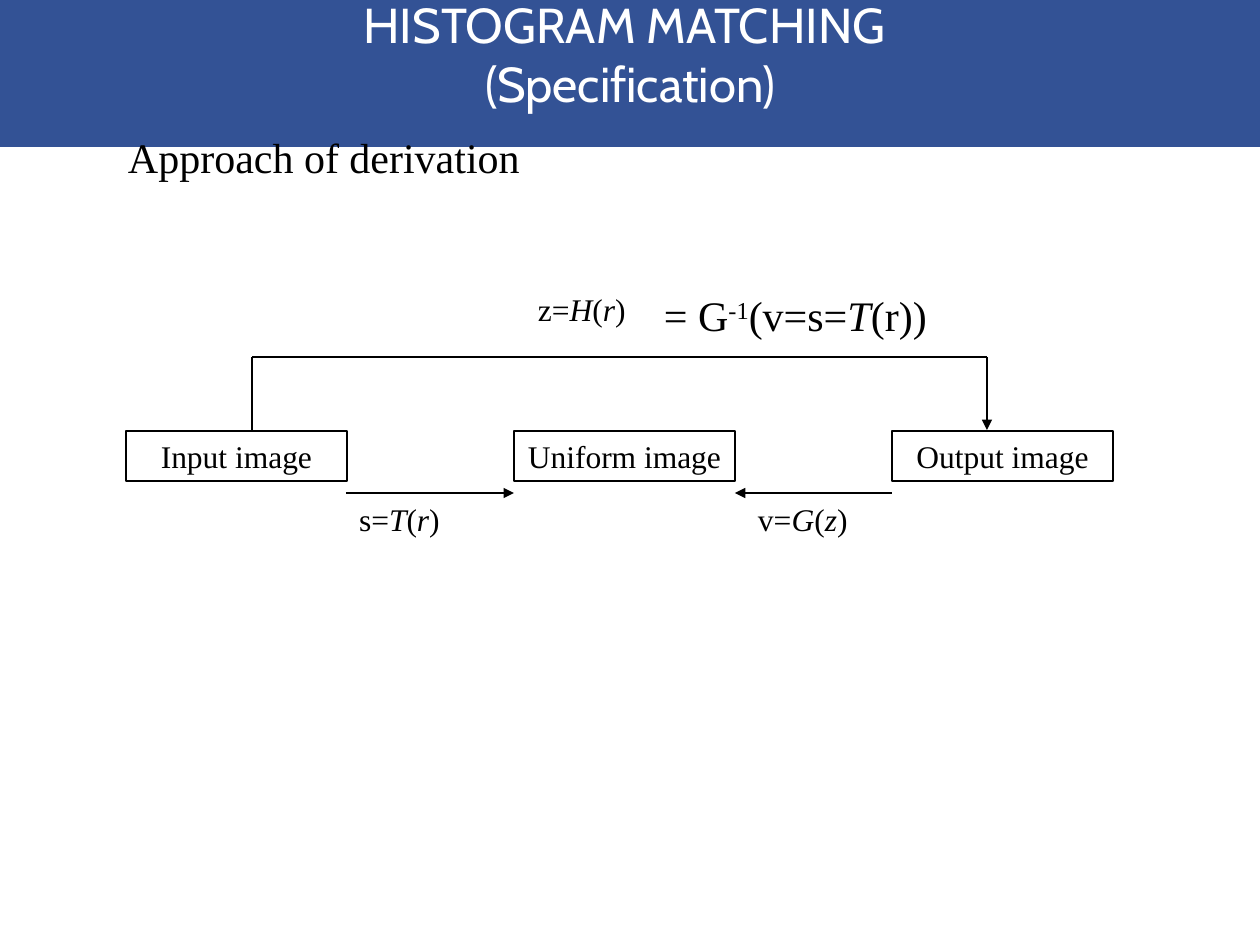
"""Build the histogram matching slide."""
from lxml import etree
from pptx import Presentation
from pptx.dml.color import RGBColor
from pptx.enum.shapes import MSO_CONNECTOR, MSO_SHAPE
from pptx.enum.text import MSO_ANCHOR, PP_ALIGN
from pptx.oxml.ns import qn
from pptx.util import Emu, Pt

BLACK = RGBColor(0, 0, 0)
WHITE = RGBColor(255, 255, 255)
BLUE = RGBColor(0x33, 0x52, 0x95)
RECT = MSO_SHAPE.RECTANGLE
STRAIGHT = MSO_CONNECTOR.STRAIGHT
LEFT, CENTER = PP_ALIGN.LEFT, PP_ALIGN.CENTER
TOP, MIDDLE = MSO_ANCHOR.TOP, MSO_ANCHOR.MIDDLE
SERIF, SANS = "Times New Roman", "Cabin"


def px(num):
    return Emu(round(num * 914400 / 126))


class Deck:
    def __init__(self):
        self.prs = Presentation()
        self.prs.slide_width, self.prs.slide_height = px(1260), px(945)
        self.slide = self.prs.slides.add_slide(self.prs.slide_layouts[6])
        self.shapes = self.slide.shapes

    def label(self, shape, runs, size=18, font=SERIF, color=BLACK,
              align=LEFT, anchor=TOP, foot=6):
        frame = shape.text_frame
        frame.word_wrap = True
        frame.vertical_anchor = anchor
        frame.margin_left = frame.margin_right = px(13)
        frame.margin_top, frame.margin_bottom = px(6), px(foot)
        para = frame.paragraphs[0]
        para.alignment = align
        for text, style in runs:
            if style == "break":
                para.add_line_break()
                continue
            run = para.add_run()
            run.text = text
            run.font.name, run.font.size = font, Pt(size)
            run.font.color.rgb = color
            run.font.italic = style == "italic"
            if style == "super":
                run.font._element.set("baseline", "30000")

    def text(self, x, y, wide, high, runs, **style):
        box = self.shapes.add_textbox(px(x), px(y), px(wide), px(high))
        self.label(box, runs, **style)

    def rect(self, x, y, wide, high, fill=None):
        shape = self.shapes.add_shape(RECT, px(x), px(y), px(wide), px(high))
        shape.shadow.inherit = False
        if fill is None:
            shape.fill.background()
            shape.line.color.rgb = BLACK
            shape.line.width = Pt(0.75)
        else:
            shape.fill.solid()
            shape.fill.fore_color.rgb = fill
            shape.line.fill.background()
        return shape

    def box(self, x, y, wide, high, name):
        shape = self.rect(x, y, wide, high)
        self.label(shape, [(name, "")], align=CENTER)

    def line(self, x1, y1, x2, y2, arrow=False):
        link = self.shapes.add_connector(
            STRAIGHT, px(x1), px(y1), px(x2), px(y2))
        link.line.color.rgb = BLACK
        link.line.width = Pt(0.75)
        props = link._element.spPr
        if arrow:
            etree.SubElement(props.find(qn("a:ln")), qn("a:tailEnd"),
                             type="triangle")
        etree.SubElement(props, qn("a:effectLst"))


def call(left, name, arg):
    return [(left, ""), (name, "italic"), ("(", ""), (arg, "italic"), (")", "")]


def main():
    deck = Deck()
    deck.rect(0, 0, 1260, 147, BLUE)

    for x, name in ((126, "Input"), (514, "Uniform"), (892, "Output")):
        deck.box(x, 431, 221, 50, f"{name} image")

    deck.line(346, 493, 514, 493, arrow=True)
    deck.line(892, 493, 735, 493, arrow=True)
    deck.line(252, 431, 252, 357)
    deck.line(252, 357, 987, 357)
    deck.line(987, 357, 987, 430, arrow=True)

    for x, y, runs in ((346, 494, call("s=", "T", "r")),
                       (745, 494, call("v=", "G", "z")),
                       (525, 284, call("z=", "H", "r"))):
        deck.text(x, y, 158, 50, runs)

    deck.text(115, 126, 788, 63, [("Approach of derivation", "")], size=24)
    deck.text(651, 284, 305, 63,
              [("= G", ""), ("-1", "super"), ("(v=s=", ""), ("T", "italic"),
               ("(r))", "")], size=24)
    deck.text(63, 10, 1134, 147,
              [("HISTOGRAM MATCHING ", ""), ("", "break"),
               ("(Specification)", "")],
              size=28, font=SANS, color=WHITE, align=CENTER, anchor=MIDDLE,
              foot=66)
    deck.prs.save("out.pptx")


if __name__ == "__main__":
    main()
